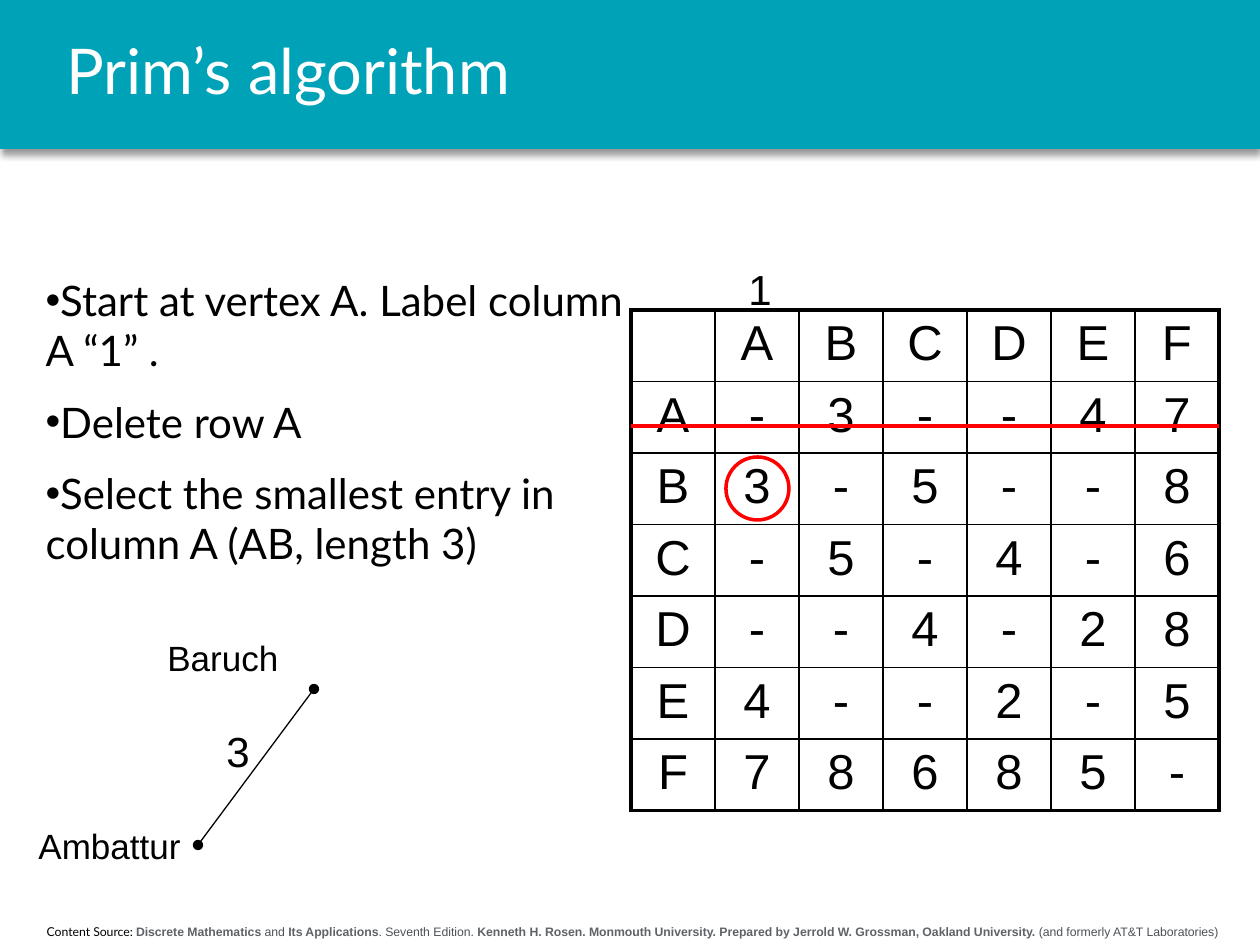
import pptx
import pptx.dml.color
import pptx.enum.shapes
import pptx.enum.text
import pptx.oxml
import pptx.oxml.ns
import pptx.util
from lxml import etree

EMU_PER_PX = 914400 / 126
ALIGN = pptx.enum.text.PP_ALIGN
SHAPE = pptx.enum.shapes.MSO_SHAPE
STRAIGHT = pptx.enum.shapes.MSO_CONNECTOR.STRAIGHT
BLACK, WHITE, RED, TEAL = "000000", "FFFFFF", "FF0000", "00A2B8"
SLATE, GRAPHITE = "5F6368", "4D5156"

WEIGHTS = [" ABCDEF", "A-3--47", "B3-5--8", "C-5-4-6", "D--4-28", "E4--2-5", "F78685-"]
STEPS = [
    "Start at vertex A. Label column A “1” .",
    "Delete row A",
    "Select the smallest entry in column A (AB, length 3)",
]
CREDIT = [
    ("Content Source: ", "Lato", BLACK, False),
    ("Discrete Mathematics", "Arial", SLATE, True),
    (" and ", "Arial", GRAPHITE, False),
    ("Its Applications", "Arial", SLATE, True),
    (". Seventh Edition. ", "Arial", GRAPHITE, False),
    ("Kenneth H. Rosen. Monmouth University. Prepared by Jerrold W. Grossman, "
     "Oakland University.", "Arial", SLATE, True),
    (" (and formerly AT&T Laboratories)", "Arial", GRAPHITE, False),
]


def px(*lengths):
    """Turn pixel lengths into a list of EMU."""
    return [pptx.util.Emu(round(length * EMU_PER_PX)) for length in lengths]


def rgb(value):
    """Turn a hex string into a colour."""
    return pptx.dml.color.RGBColor.from_string(value)


def style(font, size, name, color=BLACK, bold=False):
    """Set size, typeface, colour and weight of a font."""
    font.size = pptx.util.Pt(size)
    font.name = name
    font.bold = bold
    font.color.rgb = rgb(color)


def add_xml(parent, xml, position=None):
    """Insert a DrawingML fragment into an element."""
    namespace = pptx.oxml.ns.nsdecls("a")
    element = pptx.oxml.parse_xml(xml.replace("/>", f" {namespace}/>", 1)
                                  if xml.endswith("/>") and xml.count("<") == 1
                                  else xml.replace(">", f" {namespace}>", 1))
    parent.insert(len(parent) if position is None else position, element)


def place(shape, left, top, width, height):
    """Move and size a shape."""
    shape.left, shape.top, shape.width, shape.height = px(left, top, width, height)


def add_label(shapes, text, size, left, top, width, height):
    """Add a one-line Arial label."""
    frame = shapes.add_textbox(*px(left, top, width, height)).text_frame
    frame.word_wrap = True
    label = frame.paragraphs[0]
    label.text = text
    style(label.font, size, "Arial")


def add_line(shapes, start, end, color, width):
    """Add a straight line without a shadow."""
    line = shapes.add_connector(STRAIGHT, *px(*start, *end))
    line.line.color.rgb = rgb(color)
    line.line.width = pptx.util.Pt(width)
    etree.SubElement(line.element.spPr, pptx.oxml.ns.qn("a:effectLst"))
    return line


def add_heading(slide, left, top, width, height):
    """Place the shadowed banner and the title on it."""
    banner = slide.shapes.add_shape(SHAPE.RECTANGLE, *px(left, top, width, height))
    banner.fill.solid()
    banner.fill.fore_color.rgb = rgb(TEAL)
    banner.line.fill.background()
    add_xml(banner.element.spPr,
            '<a:effectLst><a:outerShdw blurRad="50800" dist="38100" dir="5400000">'
            '<a:srgbClr val="000000"><a:alpha val="40000"/></a:srgbClr>'
            '</a:outerShdw></a:effectLst>')
    banner.element.getparent().insert(2, banner.element)

    title = slide.shapes.title
    place(title, left + 54, top, width - 88, height)
    title.text_frame.vertical_anchor = pptx.enum.text.MSO_ANCHOR.MIDDLE
    heading = title.text_frame.paragraphs[0]
    heading.text = "Prim’s algorithm"
    heading.alignment = ALIGN.LEFT
    heading.line_spacing = 0.9
    style(heading.font, 36, "Lato", WHITE)


def add_steps(slide, left, top, width, height):
    """Fill the body placeholder with the steps as bullets."""
    body = slide.placeholders[1]
    place(body, left, top, width, height)
    frame = body.text_frame
    frame.auto_size = pptx.enum.text.MSO_AUTO_SIZE.NONE
    frame.text = "\n".join(STEPS)
    for index, step in enumerate(frame.paragraphs):
        step.space_before = pptx.util.Pt(12 if index else 0)
        properties = step._p.get_or_add_pPr()
        properties.set("marL", "0")
        properties.set("indent", "0")
        add_xml(properties, '<a:buChar char="•"/>')
        style(step.font, 24, "Lato")


def add_borders(cell, widths):
    """Draw the left, right, top and bottom borders of a cell."""
    properties = cell._tc.get_or_add_tcPr()
    for position, (side, width) in enumerate(zip("LRTB", widths)):
        add_xml(properties,
                f'<a:ln{side} w="{pptx.util.Pt(width)}"><a:solidFill>'
                f'<a:srgbClr val="{BLACK}"/></a:solidFill></a:ln{side}>', position)


def add_matrix(slide, left, top, column, row):
    """Place the weight matrix with its column label, deleted row and chosen entry."""
    count = len(WEIGHTS)
    last = count - 1
    matrix = slide.shapes.add_table(
        count, count, *px(left, top, column * count, row * count)).table
    matrix.first_row = matrix.horz_banding = False
    for r, weights in enumerate(WEIGHTS):
        matrix.rows[r].height = px(row)[0]
        for c, weight in enumerate(weights):
            matrix.columns[c].width = px(column)[0]
            cell = matrix.cell(r, c)
            cell.fill.background()
            entry = cell.text_frame.paragraphs[0]
            entry.text = weight.strip()
            entry.alignment = ALIGN.CENTER
            style(entry.font, 28, "Arial")
            outer = (c == 0, c == last, r == 0, r == last)
            add_borders(cell, [2.25 if edge else 1 for edge in outer])

    add_label(slide.shapes, "1", 24, left + 105, top - 53, 42, 63)
    add_line(slide.shapes, (left, top + 116), (left + column * count, top + 116), RED, 2)
    choice = slide.shapes.add_shape(SHAPE.OVAL, *px(left + 95, top + 147, 63, 63))
    choice.shadow.inherit = False
    choice.fill.background()
    choice.line.color.rgb = rgb(RED)
    choice.line.width = pptx.util.Pt(2)


def add_tree(slide, left, top):
    """Group the first tree edge with its towns and length."""
    shapes = slide.shapes.add_group_shape().shapes
    edge = add_line(shapes, (left + 172, top + 215), (left + 288, top + 59), BLACK, 0.75)
    outline = edge.line._get_or_add_ln()
    for end in ("headEnd", "tailEnd"):
        add_xml(outline, f'<a:{end} type="oval"/>')
    add_label(shapes, "Ambattur", 20, left, top + 188, 169, 54)
    add_label(shapes, "Baruch", 20, left + 129, top, 163, 54)
    add_label(shapes, "3", 24, left + 188, top + 89, 79, 63)


def add_credit(slide, left, top, width, height):
    """Place the source line along the foot."""
    frame = slide.shapes.add_textbox(*px(left, top, width, height)).text_frame
    frame.word_wrap = True
    credit = frame.paragraphs[0]
    credit.alignment = ALIGN.CENTER
    for text, name, color, bold in CREDIT:
        run = credit.add_run()
        run.text = text
        style(run.font, 7, name, color, bold)


def main():
    """Build the slide and save it."""
    deck = pptx.Presentation()
    deck.slide_width, deck.slide_height = px(1260, 945)
    slide = deck.slides.add_slide(deck.slide_layouts[1])
    add_heading(slide, 0, 0, 1260, 149)
    add_credit(slide, 5, 918, 1255, 28)
    add_matrix(slide, 631, 310, 84, 67)
    add_steps(slide, 33, 268, 620, 318)
    add_tree(slide, 26, 630)
    deck.save("out.pptx")


if __name__ == "__main__":
    main()
